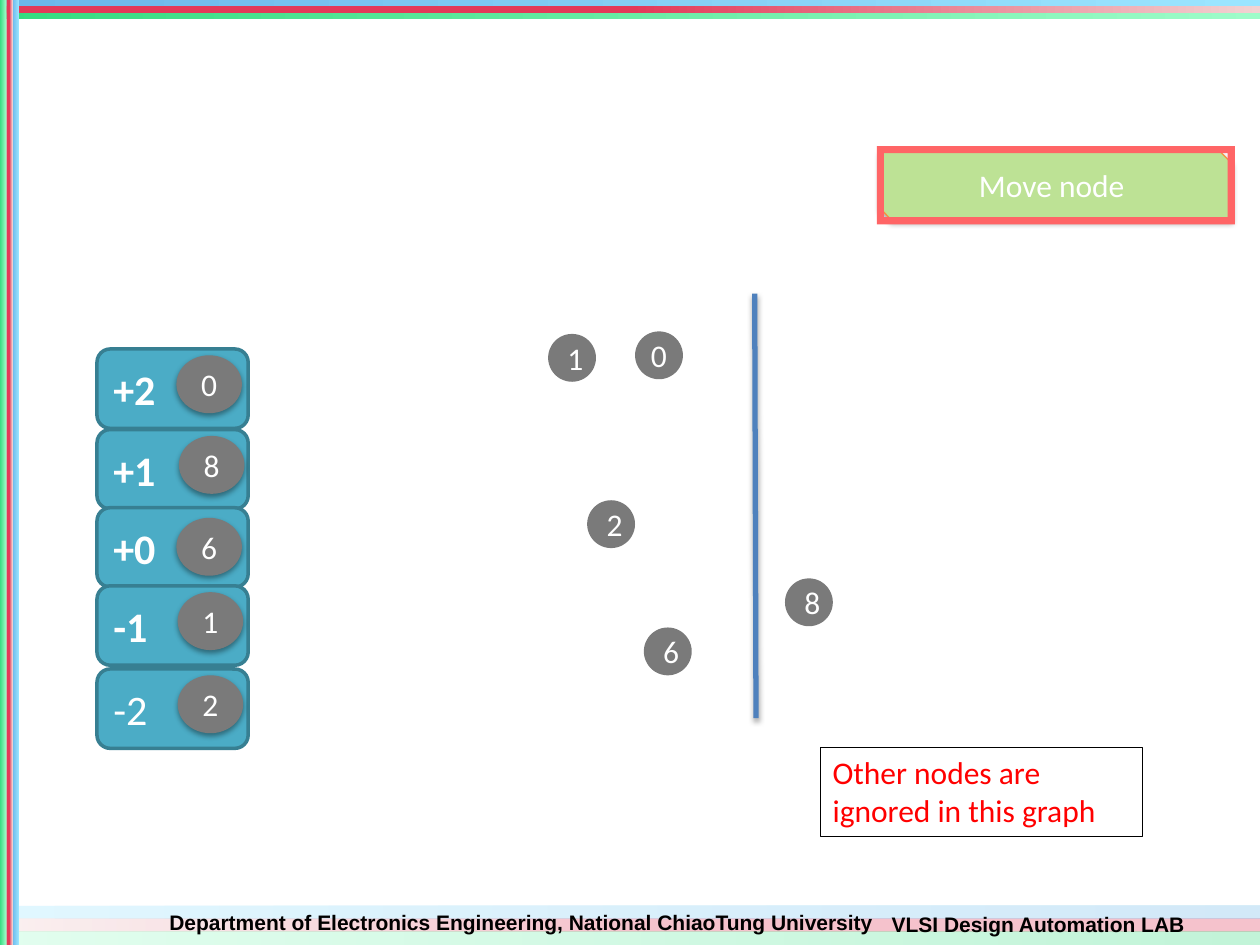
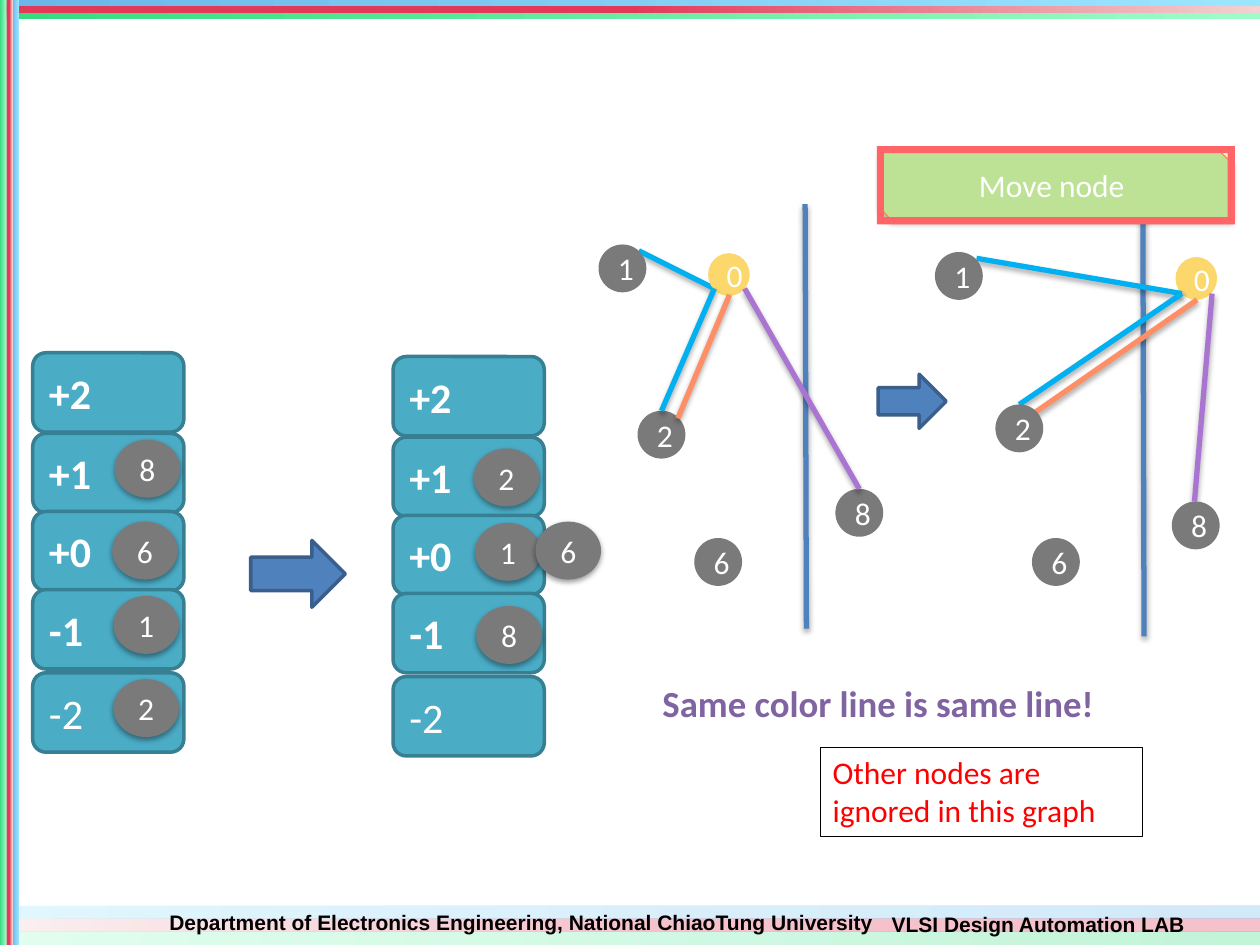
from pptx import Presentation
from pptx.dml.color import RGBColor
from pptx.enum.shapes import MSO_CONNECTOR, MSO_SHAPE
from pptx.enum.text import MSO_ANCHOR, PP_ALIGN
from pptx.oxml import parse_xml
from pptx.oxml.ns import nsdecls, qn
from pptx.util import Inches, Pt

RECT = MSO_SHAPE.RECTANGLE
TILE = MSO_SHAPE.ROUNDED_RECTANGLE
NODE = MSO_SHAPE.FLOWCHART_CONNECTOR
ARROW = MSO_SHAPE.RIGHT_ARROW
SNIP = MSO_SHAPE.SNIP_2_DIAG_RECTANGLE
FRAME = MSO_SHAPE.FRAME
STRAIGHT = MSO_CONNECTOR.STRAIGHT
LEFT, CENTER = PP_ALIGN.LEFT, PP_ALIGN.CENTER
MIDDLE, TOP = MSO_ANCHOR.MIDDLE, MSO_ANCHOR.TOP

GREY, YELLOW, WHITE, BLACK = "7A7A7A", "FBD76C", "FFFFFF", "000000"
BLUE, CYAN, ORANGE, PURPLE = "4F81BD", "00B0F0", "FE8E66", "AA75D2"
GREEN_BAND, RED_BAND, BLUE_BAND = ("35DB80", "9EFCC9"), ("E33959", "F2D2D2"), ("6CB7EA", "9BE5FF")

deck = Presentation()
deck.slide_width, deck.slide_height = Inches(10), Inches(7.5)
COLUMN, ROW = deck.slide_width / 100, deck.slide_height / 75


def paint(fill, color):
    if color is None:
        fill.background()
    else:
        fill.solid()
        fill.fore_color.rgb = RGBColor.from_string(color)


def draw(page, kind, at, fill=None, line=None, width=0.75, text="", size=18, color=WHITE,
         bold=False, font="Calibri", align=CENTER, anchor=MIDDLE, wrap=True, shadow=None):
    a, b, c, d = [round(value * unit) for value, unit in zip(at, (COLUMN, ROW, COLUMN, ROW))]
    if kind is STRAIGHT:
        item = page.shapes.add_connector(kind, a, b, c, d)
    else:
        item = page.shapes.add_shape(kind, a, b, c, d)
        paint(item.fill, fill)
    paint(item.line.fill, line)
    if line:
        item.line.width = Pt(width)
    glow = ""
    if shadow:
        distance, alpha = shadow
        glow = (f'<a:outerShdw blurRad="40000" dist="{distance}" dir="5400000" rotWithShape="0">'
                f'<a:srgbClr val="{BLACK}"><a:alpha val="{alpha}"/></a:srgbClr></a:outerShdw>')
    item._element.spPr.append(parse_xml(f'<a:effectLst {nsdecls("a")}>{glow}</a:effectLst>'))
    if text:
        box = item.text_frame
        box.word_wrap, box.vertical_anchor = wrap, anchor
        para = box.paragraphs[0]
        para.alignment = align
        span = para.add_run()
        span.text = text
        span.font.name, span.font.size, span.font.bold = font, Pt(size), bold
        paint(span.font.fill, color)
    return item


CHIP_SHADOW, SOFT_SHADOW = (20000, 38000), (23000, 35000)

bands = [
    (0, 72.9, 100, 1, RED_BAND[::-1], (0, 0.5), 30),
    (0, 73.9, 100, 1.1, GREEN_BAND[::-1], (0, 1), 30),
    (0, 71.9, 100, 1, BLUE_BAND[::-1], (0, 1), 29),
    (0, 0.5, 100, 0.5, RED_BAND, (0.5, 1), 100),
    (0, 1, 100, 0.5, GREEN_BAND, (0, 1), 100),
    (0, 0, 100, 0.5, BLUE_BAND, (0, 1), 100),
    (0.5, 0, 0.5, 75, RED_BAND, (0.5, 1), 100),
    (0, 0, 0.5, 75, GREEN_BAND, (0, 1), 100),
    (1, 0, 0.5, 75, BLUE_BAND, (0, 1), 100),
]
footers = [
    ("Department of Electronics Engineering, National ChiaoTung University", (15.6, 72.9, 51.6, 0.5)),
    ("VLSI Design Automation LAB", (68.8, 72.9, 27.2, 0.8)),
]
gains = [("+2", 0), ("+1", 6.4), ("+0", 12.6), ("-1", 18.8), ("-2", 25.4)]
chips_before = [("0", 6.3, 0.5), ("8", 6.5, 6.9), ("6", 6.3, 13.4), ("1", 6.4, 19.3), ("2", 6.4, 25.9)]
chips_after = [("1", 6.5, 13.2), ("8", 6.6, 19.8), ("2", 6.4, 7.3), ("6", 11.3, 13.1)]
nodes_before = [("1", -16.4, 3.2), ("8", 2.4, 22.6), ("6", -8.8, 26.5), ("2", -13.3, 16.4)]
nodes_after = [("1", 74.2, 20), ("6", 81.9, 42.7), ("2", 79, 32.1), ("8", 93, 39.8)]
edges_before = [
    (ORANGE, (57.9, 23.4, 53.8, 33.2)),
    (CYAN, (56.7, 22.9, 52.5, 32.6)),
    (PURPLE, (59.1, 22.9, 68.2, 38.8)),
]
edges_after = [
    (BLUE, (90.7, 14.5, 90.8, 50.5)),
    (CYAN, (93.8, 23.3, 77.5, 20.5)),
    (ORANGE, (95, 23.8, 82.2, 32.7)),
    (CYAN, (93.8, 23.3, 80.9, 32.1)),
    (PURPLE, (96.2, 23.3, 94.8, 39.8)),
]

scenes = [
    {"ladders": [(7.7, 27.7, chips_before)], "divider": (59.9, 23.3), "moved": False},
    {"ladders": [(2.6, 28, chips_before[1:]), (31.2, 28.3, chips_after)],
     "divider": (63.9, 16.2), "moved": True},
]

for scene in scenes:
    page = deck.slides.add_slide(deck.slide_layouts[6])

    for left, top, width, height, colors, positions, opacity in bands:
        band = draw(page, RECT, (left, top, width, height))
        band.fill.gradient()
        band.fill.gradient_angle = 0
        for stop, color, position in zip(band.fill.gradient_stops, colors, positions):
            stop.color.rgb = RGBColor.from_string(color)
            stop.position = position
        for tint in band._element.spPr.iter(qn("a:srgbClr")):
            tint.append(parse_xml(f'<a:alpha {nsdecls("a")} val="{opacity * 1000}"/>'))
    for text, at in footers:
        draw(page, RECT, at, text=text, size=12, color=BLACK, bold=True, font="Arial", wrap=False)

    for left, top, chips in scene["ladders"]:
        for gain, drop in gains:
            draw(page, TILE, (left, top + drop, 12, 6.3), "4BACC6", "377F92", 2, gain, 24,
                 bold=gain != "-2", align=LEFT)
        for label, shift, drop in chips:
            draw(page, NODE, (left + shift, top + drop, 5.2, 4.6), GREY, text=label, shadow=CHIP_SHADOW)

    x, y = scene["divider"]
    draw(page, STRAIGHT, (x, y, x + 0.1, y + 33.7), line=BLUE, width=3, shadow=SOFT_SHADOW)
    if scene["moved"]:
        draw(page, STRAIGHT, (56.7, 22.9, 50.7, 19.9), line=CYAN, width=3, shadow=SOFT_SHADOW)
    for label, shift, drop in nodes_before:
        draw(page, NODE, (x + shift, y + drop, 3.8, 3.8), GREY, text=label)

    if scene["moved"]:
        for left, top in ((56.2, 20.1), (93.3, 20.4)):
            draw(page, NODE, (left, top, 3.3, 3.4), YELLOW, text="0")
        for color, ends in edges_before + edges_after:
            draw(page, STRAIGHT, ends, line=color, width=3, shadow=SOFT_SHADOW)
        for label, left, top in nodes_after:
            draw(page, NODE, (left, top, 3.8, 3.8), GREY, text=label)
        for at in ((19.9, 42.9, 7.5, 5.3), (69.7, 29.7, 5.4, 4.3)):
            draw(page, ARROW, at, BLUE, "3A5F8C", 2)
        draw(page, RECT, (51.6, 53.5, 42.7, 4.3), text="Same color line is same line!", size=21,
             color="8064A2", bold=True, align=LEFT, anchor=TOP)
    else:
        start = draw(page, NODE, (50.4, 26.3, 3.8, 3.8), GREY, text="0").text_frame
        start.margin_left = start.margin_right = Inches(0.07)
        start.margin_top = start.margin_bottom = Inches(0.04)

    draw(page, SNIP, (69.8, 12, 27.9, 5.4), "BDE295", "F69240", text="Move node ", shadow=SOFT_SHADOW)
    frame = draw(page, FRAME, (69.6, 11.6, 28.4, 6.2), "FF6566")
    frame.adjustments[0] = 0.09
    draw(page, RECT, (65.1, 59.3, 25.6, 7.1), line=BLACK, text="Other nodes are ignored in this graph",
         color="FF0000", align=LEFT, anchor=TOP)

deck.save("out.pptx")
